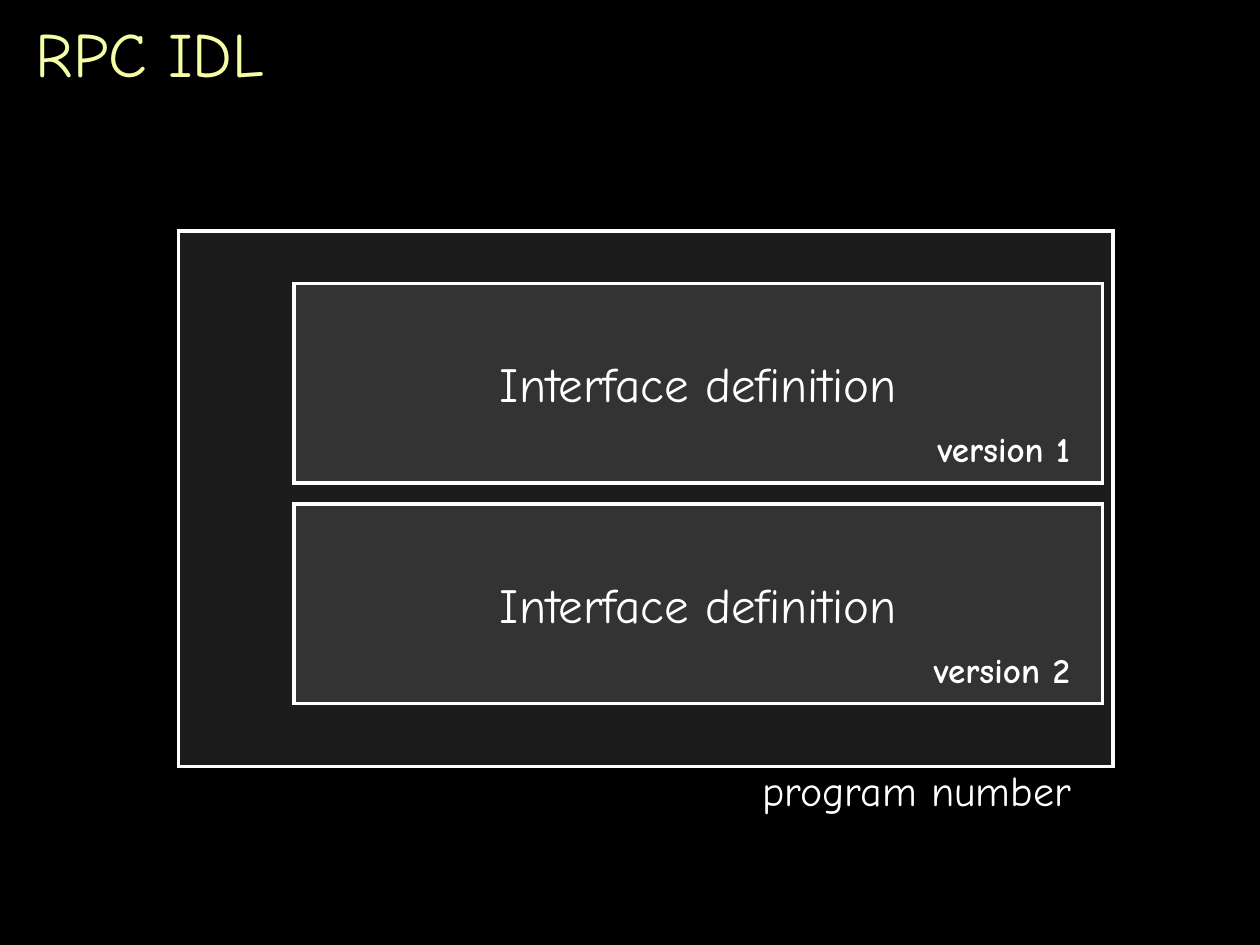
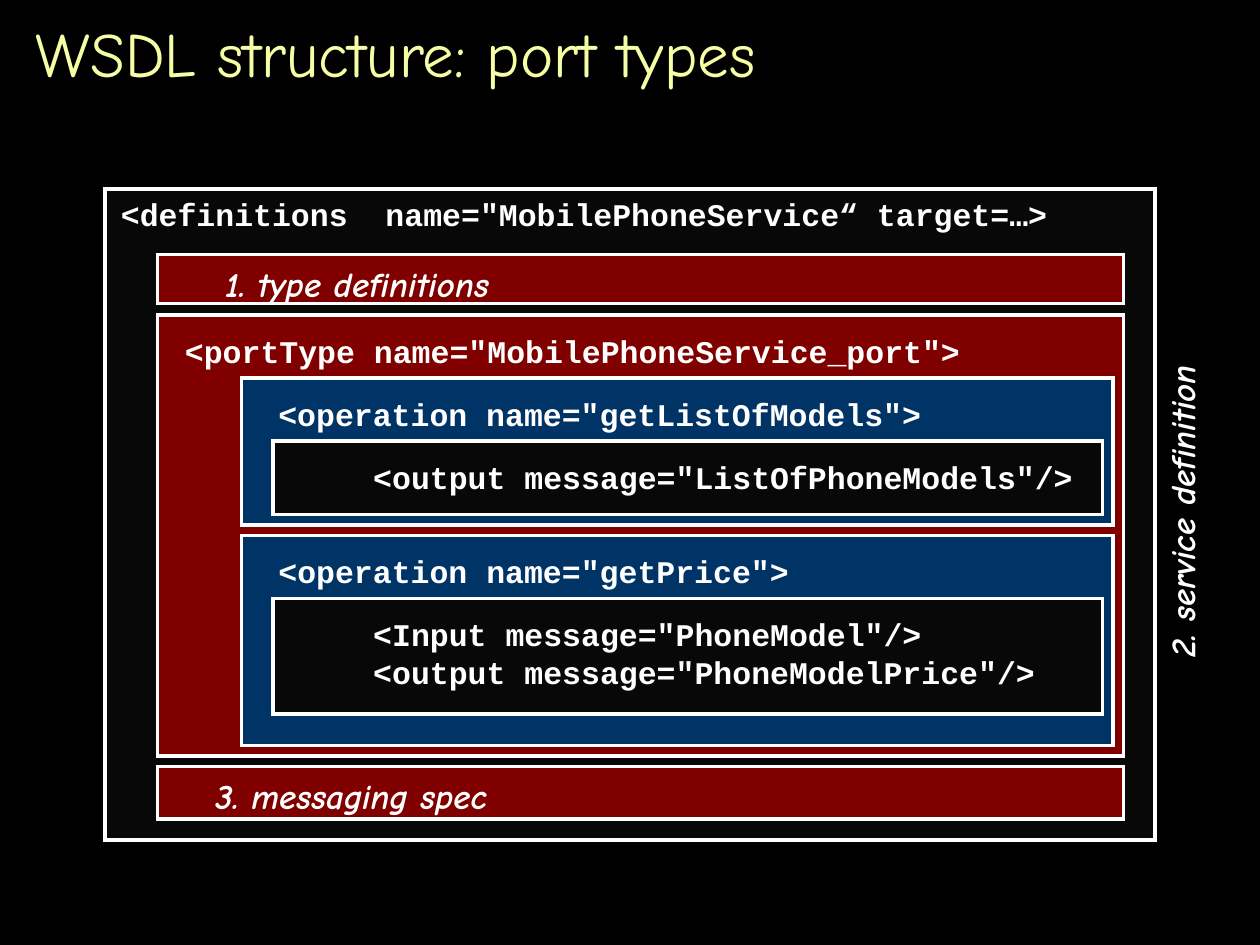
from dataclasses import dataclass

from lxml.etree import SubElement
from pptx import Presentation
from pptx.dml.color import RGBColor
from pptx.enum.shapes import MSO_SHAPE
from pptx.enum.text import MSO_ANCHOR, PP_ALIGN
from pptx.oxml.ns import qn
from pptx.util import Pt


@dataclass(frozen=True)
class Theme:
    """Colours, fonts and type sizes used on every slide."""
    background: str = "000000"
    title: str = "F5FDA5"
    ink: str = "FFFFFF"
    program: str = "1C1C1C"
    interface: str = "333333"
    document: str = "080808"
    section: str = "800000"
    operation: str = "003366"
    hand: str = "Comic Neue"
    mono: str = "Courier New"
    title_size: int = 36
    interface_size: int = 28
    program_size: int = 24
    label_size: int = 20
    code_size: int = 18
    outline: int = 2


@dataclass(frozen=True)
class Box:
    """A rectangle in points."""
    left: float
    top: float
    width: float
    height: float

    def inside(self, dx, dy, width, height):
        """Return a box offset from this one's top left corner."""
        return Box(self.left + dx, self.top + dy, width, height)

    def lengths(self):
        """Return the position and size as lengths."""
        return Pt(self.left), Pt(self.top), Pt(self.width), Pt(self.height)


THEME = Theme()
PAGE = Box(0, 0, 720, 540)


def write(shape, text, size, font=THEME.hand, color=THEME.ink, bold=False,
          italic=False, align=PP_ALIGN.LEFT, anchor=MSO_ANCHOR.TOP):
    """Set a shape's text and format every run alike."""
    frame = shape.text_frame
    frame.text = text
    frame.word_wrap = False
    frame.vertical_anchor = anchor
    for paragraph in frame.paragraphs:
        paragraph.alignment = align
        for run in paragraph.runs:
            run.font.size = Pt(size)
            run.font.name = font
            run.font.bold = bold
            run.font.italic = italic
            run.font.color.rgb = RGBColor.from_string(color)


def add_text(slide, box, text, size, **style):
    """Place a text box."""
    label = slide.shapes.add_textbox(*box.lengths())
    write(label, text, size, **style)
    return label


def add_frame(slide, box, fill):
    """Place a filled rectangle with a sharp white outline."""
    frame = slide.shapes.add_shape(MSO_SHAPE.RECTANGLE, *box.lengths())
    frame.shadow.inherit = False
    frame.fill.solid()
    frame.fill.fore_color.rgb = RGBColor.from_string(fill)
    frame.line.color.rgb = RGBColor.from_string(THEME.ink)
    frame.line.width = Pt(THEME.outline)
    outline = frame.element.spPr.find(qn("a:ln"))
    SubElement(outline, qn("a:miter"), lim="800000")
    return frame


def add_code(slide, box, dx, dy, *lines):
    """Place code in a text box sized to its longest line."""
    width = 0.6 * THEME.code_size * max(map(len, lines)) + 14.4
    add_text(slide, box.inside(dx, dy, width, 7.2 + 21.6 * len(lines)),
             "\n".join(lines), THEME.code_size, font=THEME.mono, bold=True)


def add_page(deck, title):
    """Add a black slide with its title."""
    slide = deck.slides.add_slide(deck.slide_layouts[6])
    slide.background.fill.solid()
    slide.background.fill.fore_color.rgb = RGBColor.from_string(THEME.background)
    add_text(slide, PAGE.inside(13.3, 6, 696, 48), title, THEME.title_size,
             color=THEME.title, anchor=MSO_ANCHOR.MIDDLE)
    return slide


def add_interface(slide, box, version):
    """Draw one version of the interface definition."""
    interface = add_frame(slide, box, THEME.interface)
    write(interface, "Interface definition", THEME.interface_size,
          align=PP_ALIGN.CENTER, anchor=MSO_ANCHOR.MIDDLE)
    add_text(slide, box.inside(358.6, 79, 92, 31.7), f"version {version}",
             THEME.label_size, bold=True, align=PP_ALIGN.RIGHT)


def add_program(slide, box):
    """Draw a program holding two interface versions."""
    add_frame(slide, box, THEME.program)
    for row in range(2):
        add_interface(slide, box.inside(66, 30 + 126 * row, 462, 114), row + 1)
    add_text(slide, box.inside(326.4, 301.5, 191.5, 36), "program number",
             THEME.program_size)


def add_caption(slide, box, text):
    """Place a bold italic caption."""
    return add_text(slide, box, text, THEME.label_size, bold=True, italic=True)


def add_section(slide, box, caption, caption_left):
    """Draw a one-line section of the document."""
    add_frame(slide, box, THEME.section)
    add_caption(slide, box.inside(caption_left, 1, 200, 31.7), caption)


def add_operation(slide, box, name, messages, messages_height):
    """Draw an operation with its messages."""
    add_frame(slide, box, THEME.operation)
    add_code(slide, box, 14, 6, f'<operation name="{name}">')
    message_box = box.inside(18, 36, 474, messages_height)
    add_frame(slide, message_box, THEME.document)
    add_code(slide, message_box, 50.2, 6, *messages)


def add_port_type(slide, box):
    """Draw the port type and its operations."""
    add_frame(slide, box, THEME.section)
    add_code(slide, box, 8.6, 6, '<portType name="MobilePhoneService_port">')
    add_operation(slide, box.inside(48, 36, 498, 84), "getListOfModels",
                  ['<output message="ListOfPhoneModels"/>'], 42)
    add_operation(slide, box.inside(48, 126, 498, 120), "getPrice",
                  ['<Input message="PhoneModel"/>',
                   '<output message="PhoneModelPrice"/>'], 66)


def add_definitions(slide, box):
    """Draw the WSDL document with its three parts."""
    add_frame(slide, box, THEME.document)
    add_code(slide, box, 2, 0, '<definitions  name="MobilePhoneService“ target=…>')
    add_section(slide, box.inside(30, 37.5, 552, 28), "1. type definitions", 31.7)
    add_port_type(slide, box.inside(30, 72, 552, 252))
    add_section(slide, box.inside(30, 330, 552, 30), "3. messaging spec", 26)
    service = add_caption(slide, box.inside(505.3, 149.2, 220, 31.7),
                          "2. service definition")
    service.rotation = 270


def main():
    """Build and save the deck."""
    deck = Presentation()
    deck.slide_width, deck.slide_height = Pt(PAGE.width), Pt(PAGE.height)
    add_program(add_page(deck, "RPC IDL"), Box(102, 132, 534, 306))
    add_definitions(add_page(deck, "WSDL structure: port types"),
                    Box(60, 108, 600, 372))
    deck.save("out.pptx")


if __name__ == "__main__":
    main()
